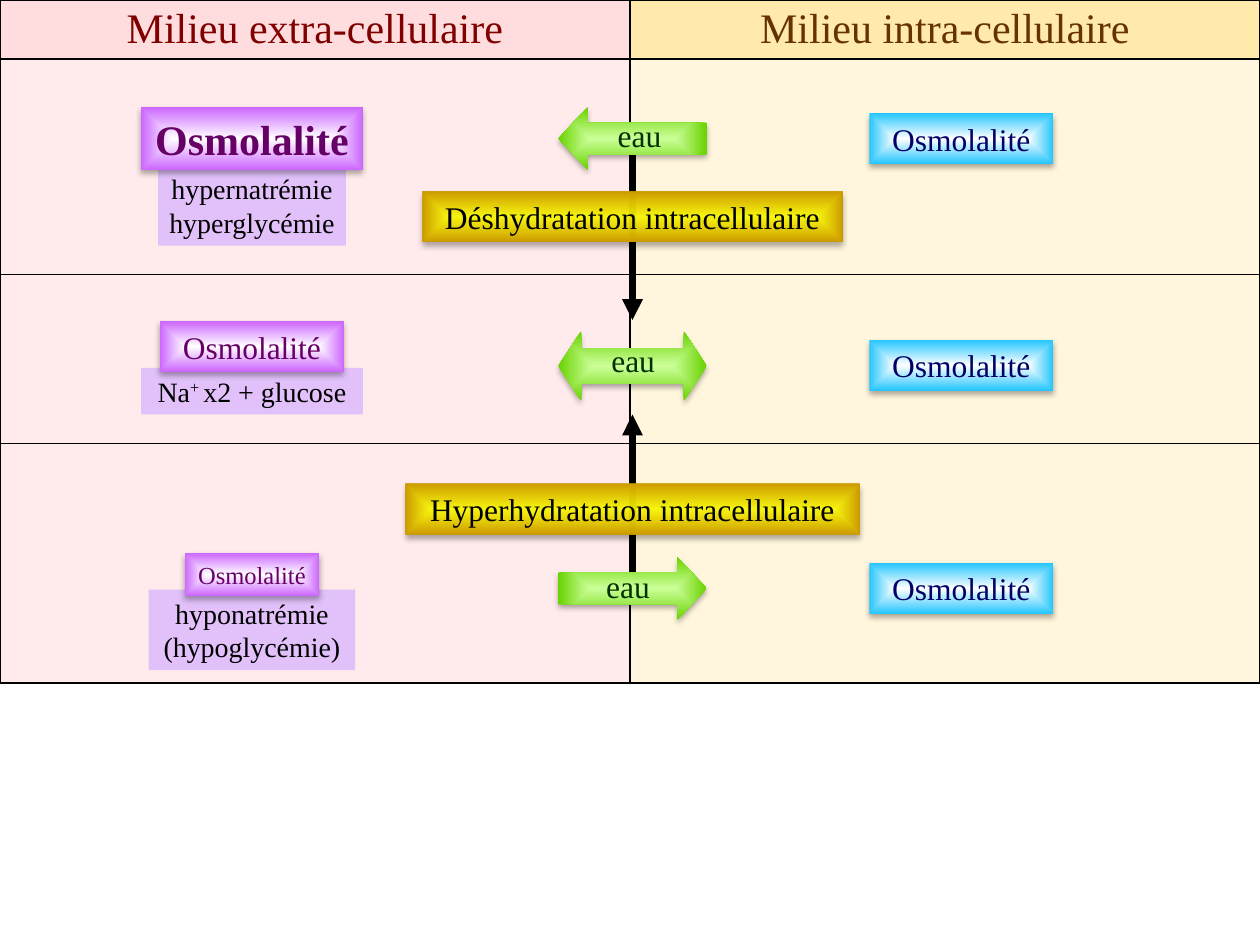
from dataclasses import dataclass

import pptx
import pptx.dml.color
import pptx.enum.shapes
import pptx.enum.text
import pptx.oxml
import pptx.oxml.ns
import pptx.util

Inches = pptx.util.Inches
Pt = pptx.util.Pt
RGBColor = pptx.dml.color.RGBColor
MSO_SHAPE = pptx.enum.shapes.MSO_SHAPE
MSO_ANCHOR = pptx.enum.text.MSO_ANCHOR

FONT = "Times New Roman"
BLACK = RGBColor(0x00, 0x00, 0x00)
WHITE = RGBColor(0xFF, 0xFF, 0xFF)
MAROON = RGBColor(0x80, 0x00, 0x00)
BROWN = RGBColor(0x66, 0x33, 0x00)
NAVY = RGBColor(0x00, 0x00, 0x66)
PLUM = RGBColor(0x66, 0x00, 0x66)
DARK_GREEN = RGBColor(0x00, 0x33, 0x00)
PINK_HEADER = RGBColor(0xFF, 0xDD, 0xDE)
CREAM_HEADER = RGBColor(0xFF, 0xE9, 0xAB)
PINK = RGBColor(0xFF, 0xEB, 0xEB)
CREAM = RGBColor(0xFF, 0xF6, 0xDD)
LILAC = RGBColor(0xDB, 0xB7, 0xFF)
BLUE = RGBColor(0x25, 0xC6, 0xFF)
PURPLE = RGBColor(0xCC, 0x66, 0xFF)
YELLOW = RGBColor(0xFF, 0xFF, 0x00)
GOLD = RGBColor(0xCC, 0x99, 0x00)
LIGHT_GREEN = RGBColor(0xCC, 0xFF, 0x99)
GREEN = RGBColor(0x69, 0xD2, 0x00)

ROW_HEIGHTS = (0.47, 1.71, 1.34, 1.9)
COLUMN_WIDTH = 5
AXIS_X = 5.02
EXTRA_X = 2
INTRA_X = 7.63


@dataclass
class Style:
    color: RGBColor
    inner: RGBColor
    outer: RGBColor
    inner_alpha: int = 100
    gradient: str = "shape"


@dataclass
class Box:
    text: str
    center: float
    top: float
    width: float
    height: float
    style: Style
    size: int = 18
    bold: bool = False


@dataclass
class Note:
    text: str
    top: float
    width: float
    height: float
    superscript: str = ""


@dataclass
class WaterArrow:
    shape: MSO_SHAPE
    top: float
    height: float
    head: float
    label_left: float
    label_top: float


INTRA = Style(NAVY, WHITE, BLUE)
EXTRA = Style(PLUM, WHITE, PURPLE)
STATE = Style(BLACK, YELLOW, GOLD, inner_alpha=90)
WATER = Style(DARK_GREEN, LIGHT_GREEN, GREEN, gradient="rect")

BOXES = [
    *(Box("Osmolalité", INTRA_X, top, 1.46, 0.4, INTRA) for top in (0.9, 2.7, 4.47)),
    Box("Déshydratation intracellulaire", AXIS_X, 1.52, 3.33, 0.4, STATE),
    Box("Hyperhydratation intracellulaire", AXIS_X, 3.84, 3.6, 0.4, STATE),
    Box("Osmolalité", EXTRA_X, 0.85, 1.76, 0.5, EXTRA, 24, True),
    Box("Osmolalité", EXTRA_X, 2.55, 1.46, 0.4, EXTRA),
    Box("Osmolalité", EXTRA_X, 4.39, 1.07, 0.34, EXTRA, 14),
]
NOTES = [
    Note("hypernatrémie hyperglycémie", 1.31, 1.49, 0.64),
    Note("Na+ x2 + glucose", 2.92, 1.76, 0.37, "+ "),
    Note("hyponatrémie (hypoglycémie)", 4.68, 1.64, 0.64),
]
WATER_ARROWS = [
    WaterArrow(MSO_SHAPE.LEFT_ARROW, 0.85, 0.5, 0.47, 4.72, 0.87),
    WaterArrow(MSO_SHAPE.LEFT_RIGHT_ARROW, 2.63, 0.55, 0.33, 4.67, 2.66),
    WaterArrow(MSO_SHAPE.RIGHT_ARROW, 4.42, 0.5, 0.47, 4.63, 4.45),
]


def xml(tag: str, attrs: str = "", inner: str = ""):
    ns = pptx.oxml.ns.nsdecls("a")
    return pptx.oxml.parse_xml(f"<a:{tag} {ns} {attrs}>{inner}</a:{tag}>")


def write(tf, text: str, *, size: int, color: RGBColor, bold: bool = False,
          superscript: str = "") -> None:
    p = tf.paragraphs[0]
    p.alignment = pptx.enum.text.PP_ALIGN.CENTER
    parts = text.partition(superscript) if superscript else (text,)
    for i, part in enumerate(parts):
        r = p.add_run()
        r.text = part
        r.font.name = FONT
        r.font.size = Pt(size)
        r.font.bold = bold
        r.font.color.rgb = color
        if i == 1:
            r.font._element.set("baseline", "30000")


def add_shape(shapes, kind: MSO_SHAPE, left: float, top: float, width: float, height: float):
    sp = shapes.add_shape(kind, Inches(left), Inches(top), Inches(width), Inches(height))
    sp.shadow.inherit = False
    sp.line.fill.background()
    tf = sp.text_frame
    tf.word_wrap = True
    tf.vertical_anchor = MSO_ANCHOR.MIDDLE
    tf.margin_left = tf.margin_right = Inches(0.06)
    return sp


def add_glow(sp, style: Style) -> None:
    sp.fill.background()
    spPr = sp._element.spPr
    stops = (
        f'<a:gsLst><a:gs pos="0"><a:srgbClr val="{style.inner}">'
        f'<a:alpha val="{style.inner_alpha * 1000}"/></a:srgbClr></a:gs>'
        f'<a:gs pos="100000"><a:srgbClr val="{style.outer}"/></a:gs></a:gsLst>'
        f'<a:path path="{style.gradient}">'
        '<a:fillToRect l="50000" t="50000" r="50000" b="50000"/></a:path>'
    )
    spPr.replace(spPr.find(pptx.oxml.ns.qn("a:noFill")),
                 xml("gradFill", 'rotWithShape="1"', stops))
    spPr.find(pptx.oxml.ns.qn("a:effectLst")).append(xml(
        "outerShdw", f'blurRad="{Pt(3.5)}" dist="{Pt(2.2)}" dir="5400000" rotWithShape="0"',
        '<a:srgbClr val="000000"><a:alpha val="32000"/></a:srgbClr>'))


def add_box(shapes, box: Box) -> None:
    sp = add_shape(shapes, MSO_SHAPE.RECTANGLE, box.center - box.width / 2,
                   box.top, box.width, box.height)
    add_glow(sp, box.style)
    write(sp.text_frame, box.text, size=box.size, color=box.style.color, bold=box.bold)


def add_note(shapes, note: Note) -> None:
    sp = add_shape(shapes, MSO_SHAPE.RECTANGLE, EXTRA_X - note.width / 2,
                   note.top, note.width, note.height)
    sp.fill.solid()
    sp.fill.fore_color.rgb = LILAC
    color = sp._element.spPr.find(".//" + pptx.oxml.ns.qn("a:srgbClr"))
    color.append(xml("alpha", 'val="80000"'))
    write(sp.text_frame, note.text, size=16, color=BLACK, superscript=note.superscript)


def add_water_arrow(shapes, arrow: WaterArrow) -> None:
    group = shapes.add_group_shape()
    sp = add_shape(group.shapes, arrow.shape, 4.43, arrow.top, 1.18, arrow.height)
    sp.adjustments[0] = 0.5
    sp.adjustments[1] = arrow.head
    add_glow(sp, WATER)
    label = group.shapes.add_textbox(Inches(arrow.label_left), Inches(arrow.label_top),
                                     Inches(0.71), Inches(0.4))
    label.text_frame.word_wrap = True
    write(label.text_frame, "eau", size=18, color=WATER.color)


def add_axis_arrow(shapes, start: float, end: float) -> None:
    line = shapes.add_connector(pptx.enum.shapes.MSO_CONNECTOR.STRAIGHT, Inches(AXIS_X),
                                Inches(start), Inches(AXIS_X), Inches(end))
    line.line.color.rgb = BLACK
    line.line.width = Pt(4)
    line.line._get_or_add_ln().append(xml("tailEnd", 'type="triangle"'))
    line._element.spPr.append(xml("effectLst"))


def add_compartments(shapes) -> None:
    table = shapes.add_table(len(ROW_HEIGHTS), 2, 0, 0, Inches(2 * COLUMN_WIDTH),
                             Inches(sum(ROW_HEIGHTS))).table
    table.first_row = table.horz_banding = False
    headers = (("Milieu extra-cellulaire", MAROON), ("Milieu intra-cellulaire", BROWN))
    for column in table.columns:
        column.width = Inches(COLUMN_WIDTH)
    for i, height in enumerate(ROW_HEIGHTS):
        table.rows[i].height = Inches(height)
        fills = (PINK, CREAM) if i else (PINK_HEADER, CREAM_HEADER)
        for j, fill in enumerate(fills):
            cell = table.cell(i, j)
            cell.fill.solid()
            cell.fill.fore_color.rgb = fill
            cell.vertical_anchor = MSO_ANCHOR.MIDDLE
            cell.margin_top = cell.margin_bottom = Inches(0.03)
            tcPr = cell._tc.get_or_add_tcPr()
            for k, side in enumerate(("lnL", "lnR", "lnT", "lnB")):
                tcPr.insert(k, xml(side, f'w="{Pt(1)}"',
                                   f'<a:solidFill><a:srgbClr val="{BLACK}"/></a:solidFill>'))
            if i == 0:
                text, color = headers[j]
                write(cell.text_frame, text, size=24, color=color)


def main() -> None:
    prs = pptx.Presentation()
    prs.slide_width, prs.slide_height = Inches(10), Inches(7.5)
    s = prs.slides.add_slide(prs.slide_layouts[6])
    add_compartments(s.shapes)
    for start, end in ((4.62, 3.29), (1.05, 2.54)):
        add_axis_arrow(s.shapes, start, end)
    for note in NOTES:
        add_note(s.shapes, note)
    for box in BOXES:
        add_box(s.shapes, box)
    for arrow in WATER_ARROWS:
        add_water_arrow(s.shapes, arrow)
    prs.save("out.pptx")


if __name__ == "__main__":
    main()
